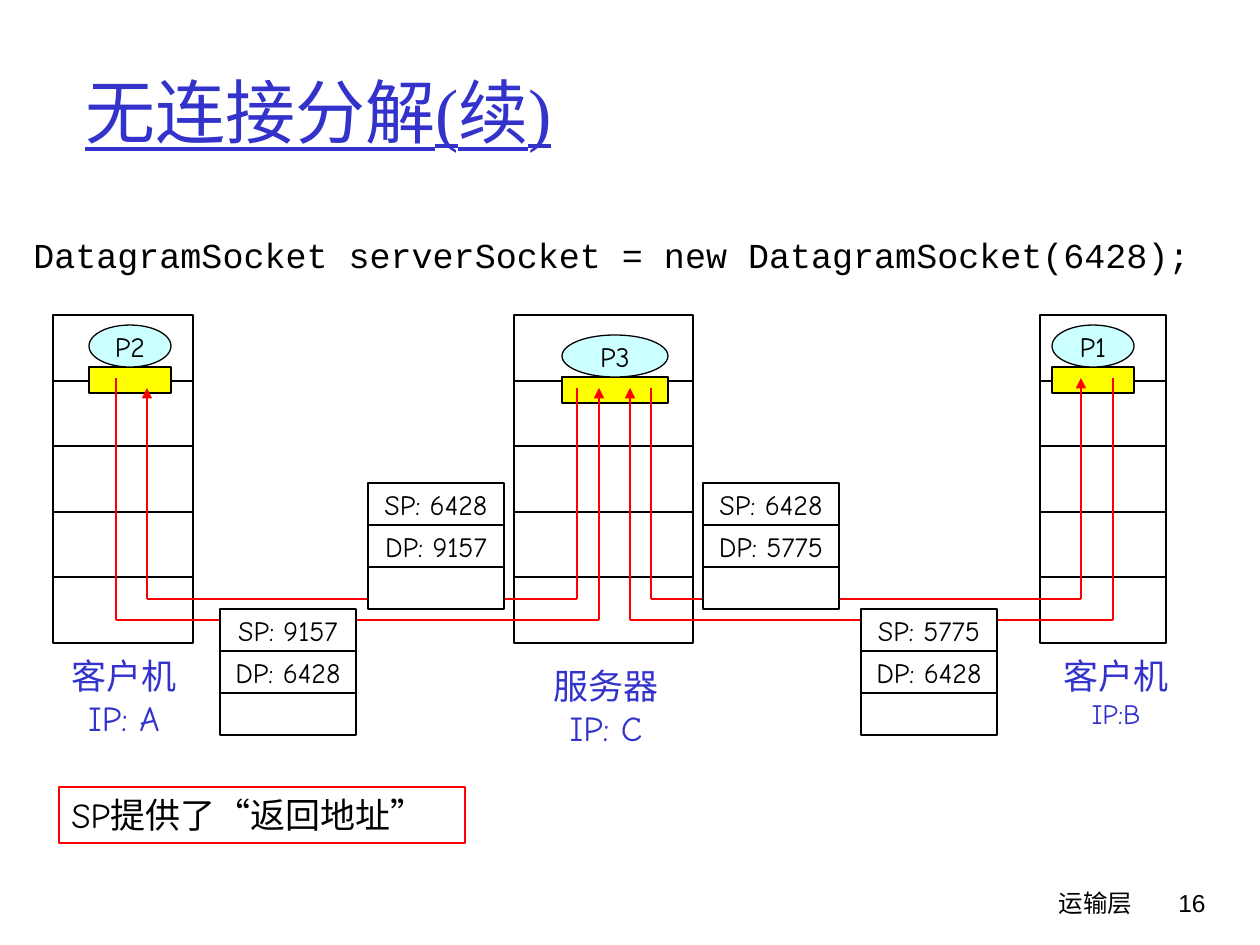
from lxml import etree
from pptx import Presentation
from pptx.dml.color import RGBColor
from pptx.enum.shapes import MSO_CONNECTOR, MSO_SHAPE
from pptx.enum.text import MSO_ANCHOR, PP_ALIGN
from pptx.oxml.ns import qn
from pptx.util import Emu, Pt

RECTANGLE, OVAL = MSO_SHAPE.RECTANGLE, MSO_SHAPE.OVAL
STRAIGHT = MSO_CONNECTOR.STRAIGHT
LEFT, CENTER, RIGHT = PP_ALIGN.LEFT, PP_ALIGN.CENTER, PP_ALIGN.RIGHT
TOP, MIDDLE = MSO_ANCHOR.TOP, MSO_ANCHOR.MIDDLE

COLORS = {
    "black": "000000",
    "white": "FFFFFF",
    "blue": "3333CC",
    "red": "FF0000",
    "socket": "FFFF00",
    "process": "CCFFFF",
}
HAND_FONT = "Comic Neue"

# Host stacks
STACK_TOP, STACK_HEIGHT, LAYERS = 315, 328, 5
PROCESS_HEIGHT, SOCKET_HEIGHT = 42, 26
LABEL_WIDTH, LABEL_HEIGHT = 130, 97

# Datagrams
FIELD_WIDTH, FIELD_HEIGHT = 136, 42

# Stack left and width, process name, left, top and width,
# label left, top, name, address and address size
HOSTS = [
    (53, 140, "P2", 89, 325, 82, 59, 648, "客户机", "IP: A", 20),
    (1040, 126, "P1", 1052, 325, 82, 1051, 648, "客户机", "IP:B", 16),
    (514, 179, "P3", 562, 335, 106, 541, 658, "服务器", "IP: C", 20),
]

# Each route ends in an arrowhead
ROUTES = [
    [(116, 378), (116, 620), (599, 620), (599, 388)],
    [(577, 388), (577, 599), (147, 599), (147, 388)],
    [(1113, 378), (1113, 620), (630, 620), (630, 388)],
    [(651, 388), (651, 599), (1081, 599), (1081, 378)],
]

# Left, top, source port, destination port
DATAGRAMS = [
    (368, 483, 6428, 9157),
    (220, 609, 9157, 6428),
    (703, 483, 6428, 5775),
    (861, 609, 5775, 6428),
]


def px(length):
    return Emu(round(length * 914400 / 126))


def rgb(name):
    return RGBColor.from_string(COLORS[name])


def write(shape, lines, sizes, font, color="black", align=LEFT,
          anchor=TOP, wrap=True):
    frame = shape.text_frame
    frame.text = "\n".join(lines)
    frame.word_wrap = wrap
    frame.vertical_anchor = anchor
    for paragraph, size in zip(frame.paragraphs, sizes):
        paragraph.alignment = align
        for run in paragraph.runs:
            run.font.name = font
            run.font.size = Pt(size)
            run.font.color.rgb = rgb(color)


def add_text(slide, box, lines, sizes, font, **options):
    shape = slide.shapes.add_textbox(*map(px, box))
    write(shape, lines, sizes, font, **options)
    return shape


def add_box(slide, kind, box, fill, line="black"):
    shape = slide.shapes.add_shape(kind, *map(px, box))
    shape.shadow.inherit = False
    if fill:
        shape.fill.solid()
        shape.fill.fore_color.rgb = rgb(fill)
    else:
        shape.fill.background()
    shape.line.color.rgb = rgb(line)
    shape.line.width = Pt(0.75)
    return shape


def add_host(slide, left, width, process, process_left, process_top,
             process_width, label_left, label_top, name, address, size):
    # Protocol layers
    edges = [STACK_TOP + round(STACK_HEIGHT * i / LAYERS)
             for i in range(LAYERS + 1)]
    for top, bottom in zip(edges, edges[1:]):
        add_box(slide, RECTANGLE, (left, top, width, bottom - top), "white")

    # Process and its socket
    add_box(slide, RECTANGLE,
            (process_left, process_top + PROCESS_HEIGHT,
             process_width, SOCKET_HEIGHT), "socket")
    oval = add_box(slide, OVAL, (process_left, process_top, process_width,
                                 PROCESS_HEIGHT), "process")
    write(oval, [process], [16], HAND_FONT, align=CENTER, anchor=MIDDLE,
          wrap=False)

    # Host label
    add_text(slide, (label_left, label_top, LABEL_WIDTH, LABEL_HEIGHT),
             [name, address], [20, size], HAND_FONT, color="blue",
             align=CENTER, wrap=False)


def add_line(slide, start, end, arrow):
    line = slide.shapes.add_connector(STRAIGHT, *map(px, start + end))
    line.line.color.rgb = rgb("red")
    line.line.width = Pt(1.5)
    if arrow:
        outline = line.line._get_or_add_ln()
        etree.SubElement(outline, qn("a:tailEnd"), type="triangle")
    etree.SubElement(line._element.spPr, qn("a:effectLst"))


def add_route(slide, points):
    for start, end in zip(points, points[1:]):
        add_line(slide, start, end, arrow=end == points[-1])


def add_datagram(slide, left, top, source, destination):
    fields = [f"SP: {source}", f"DP: {destination}", ""]
    for row, field in enumerate(fields):
        box = (left, top + row * FIELD_HEIGHT, FIELD_WIDTH, FIELD_HEIGHT)
        cell = add_box(slide, RECTANGLE, box, "white")
        if field:
            write(cell, [field], [16], HAND_FONT, align=CENTER,
                  anchor=MIDDLE, wrap=False)


def main():
    presentation = Presentation()
    presentation.slide_width, presentation.slide_height = px(1260), px(945)
    slide = presentation.slides.add_slide(presentation.slide_layouts[6])

    # Title and code
    title = add_text(slide, (73, 32, 1071, 157), ["无连接分解(续)"], [40],
                     "Times New Roman", color="blue", anchor=MIDDLE)
    title.text_frame.paragraphs[0].runs[0].font.underline = True
    add_text(slide, (21, 227, 1197, 77),
             ["DatagramSocket serverSocket = new DatagramSocket(6428);"],
             [20], "Courier New")

    # Diagram
    for host in HOSTS:
        add_host(slide, *host)
    for route in ROUTES:
        add_route(slide, route)
    for datagram in DATAGRAMS:
        add_datagram(slide, *datagram)

    # Remark
    remark = add_box(slide, RECTANGLE, (59, 787, 406, 56), None, line="red")
    write(remark, ["SP提供了“返回地址”"], [20], HAND_FONT)

    # Footer
    add_text(slide, (746, 882, 399, 63), ["运输层"], [14], HAND_FONT,
             align=RIGHT)
    add_text(slide, (1125, 882, 93, 63), ["16"], [14], "Arial", align=RIGHT)

    presentation.save("out.pptx")


if __name__ == "__main__":
    main()
